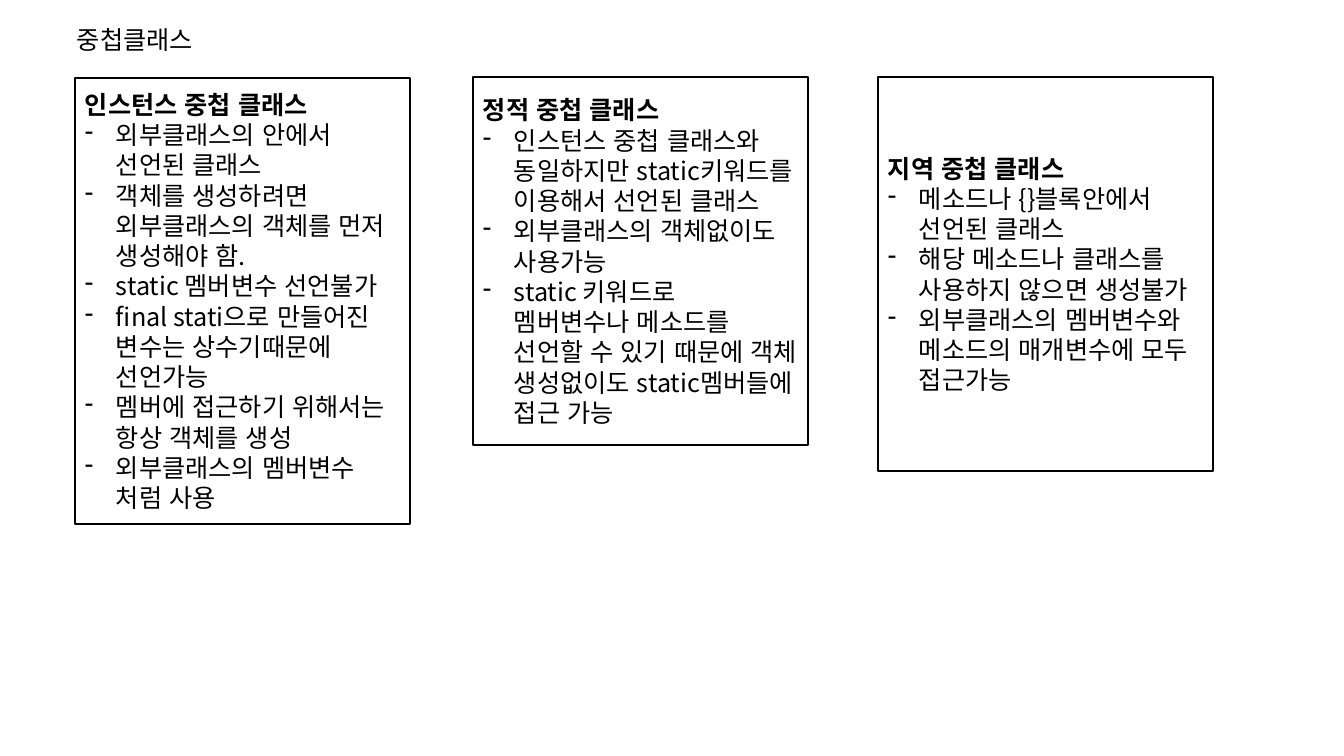
import pptx
import pptx.dml.color
import pptx.enum.lang
import pptx.enum.shapes
import pptx.enum.text
import pptx.oxml
import pptx.oxml.ns
import pptx.util

PIXEL = 914400 / 100.8
FONT = "Noto Sans CJK KR"
BLACK = "000000"
BULLET_INDENT = 31

CARDS = [
    ((75, 78, 335, 446), "인스턴스 중첩 클래스", [
        "외부클래스의 안에서 선언된 클래스",
        "객체를 생성하려면 외부클래스의 객체를 먼저 생성해야 함.",
        "static 멤버변수 선언불가",
        "final stati으로 만들어진 변수는 상수기때문에 선언가능",
        "멤버에 접근하기 위해서는 항상 객체를 생성",
        "외부클래스의 멤버변수 처럼 사용",
    ]),
    ((473, 77, 335, 368), "정적 중첩 클래스", [
        "인스턴스 중첩 클래스와 동일하지만 static키워드를 이용해서 선언된 클래스",
        "외부클래스의 객체없이도 사용가능",
        "static 키워드로 멤버변수나 메소드를 선언할 수 있기 때문에 객체 생성없이도 static멤버들에 접근 가능",
    ]),
    ((878, 77, 335, 394), "지역 중첩 클래스", [
        "메소드나 {}블록안에서 선언된 클래스",
        "해당 메소드나 클래스를 사용하지 않으면 생성불가",
        "외부클래스의 멤버변수와 메소드의 매개변수에 모두 접근가능",
    ]),
]


def emu(pixels):
    """Turn pixels into EMU."""
    return pptx.util.Emu(round(pixels * PIXEL))


def color(value):
    """Turn a hex string into a colour."""
    return pptx.dml.color.RGBColor.from_string(value)


def write_paragraph(paragraph, text, bold=False, bullet=None):
    """Fill a paragraph with one run, with a hanging bullet if asked."""
    paragraph.alignment = pptx.enum.text.PP_ALIGN.LEFT
    run = paragraph.add_run()
    run.text = text
    font = run.font
    font.name = FONT
    font.size = pptx.util.Pt(18)
    font.bold = bold
    font.color.rgb = color(BLACK)
    font.language_id = pptx.enum.lang.MSO_LANGUAGE_ID.KOREAN
    east_asian = pptx.oxml.parse_xml(
        f'<a:ea {pptx.oxml.ns.nsdecls("a")} typeface="{FONT}"/>')
    font._element.find(pptx.oxml.ns.qn("a:latin")).addnext(east_asian)
    if bullet:
        properties = paragraph._p.get_or_add_pPr()
        properties.set("marL", str(emu(BULLET_INDENT)))
        properties.set("indent", str(-emu(BULLET_INDENT)))
        properties.append(pptx.oxml.parse_xml(
            f'<a:buChar {pptx.oxml.ns.nsdecls("a")} char="{bullet}"/>'))


def add_title(slide, box, text):
    """Add the slide title on one line."""
    frame = slide.shapes.add_textbox(*map(emu, box)).text_frame
    frame.word_wrap = False
    frame.auto_size = pptx.enum.text.MSO_AUTO_SIZE.SHAPE_TO_FIT_TEXT
    write_paragraph(frame.paragraphs[0], text)


def add_card(slide, box, heading, points):
    """Add an outlined card with a bold heading and dashed points."""
    card = slide.shapes.add_shape(
        pptx.enum.shapes.MSO_SHAPE.RECTANGLE, *map(emu, box))
    card.shadow.inherit = False
    card.fill.background()
    card.line.color.rgb = color(BLACK)
    card.line.width = pptx.util.Pt(1)
    frame = card.text_frame
    frame.word_wrap = True
    frame.vertical_anchor = pptx.enum.text.MSO_ANCHOR.MIDDLE
    write_paragraph(frame.paragraphs[0], heading, bold=True)
    for point in points:
        write_paragraph(frame.add_paragraph(), point, bullet="-")


def main():
    """Build and save the slide on nested classes."""
    presentation = pptx.Presentation()
    presentation.slide_width = emu(1344)
    presentation.slide_height = emu(756)
    slide = presentation.slides.add_slide(presentation.slide_layouts[6])
    add_title(slide, (67, 19, 147, 40), "중첩클래스")
    for box, heading, points in CARDS:
        add_card(slide, box, heading, points)
    presentation.save("out.pptx")


main()
